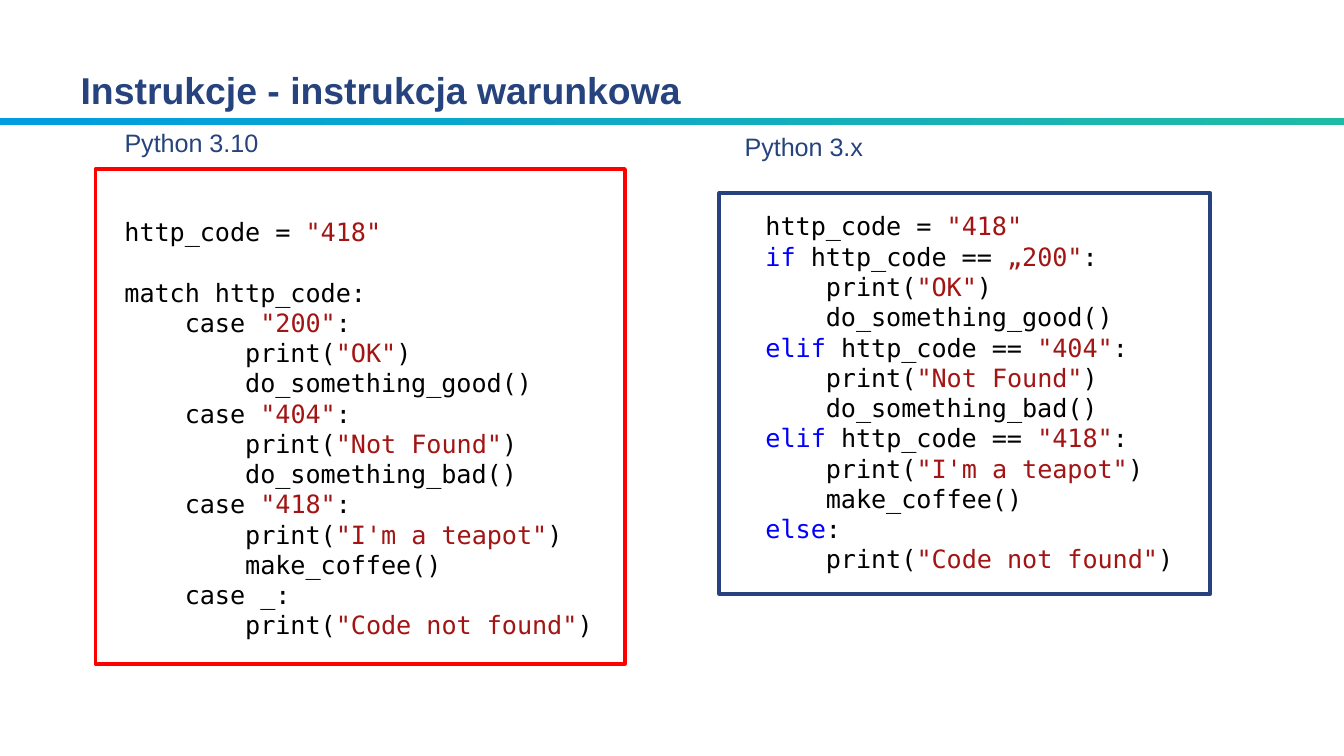
from pptx import Presentation
from pptx.dml.color import RGBColor
from pptx.enum.shapes import MSO_SHAPE
from pptx.enum.text import MSO_ANCHOR, PP_ALIGN
from pptx.util import Pt

COLORS = {
    "navy": "26437E",
    "red": "FF0000",
    "blue": "009DE0",
    "teal": "20BBA5",
    "plain": "000000",
    "string": "A31515",
    "keyword": "0000FF",
}
SANS = "Arial"
MONO = "DejaVu Sans Mono"
PITCH = Pt(16.2)

MATCH = '''http_code = "418"

match http_code:
    case "200":
        print("OK")
        do_something_good()
    case "404":
        print("Not Found")
        do_something_bad()
    case "418":
        print("I'm a teapot")
        make_coffee()
    case _:
        print("Code not found")'''

BRANCH = '''http_code = "418"
if http_code == „200":
    print("OK")
    do_something_good()
elif http_code == "404":
    print("Not Found")
    do_something_bad()
elif http_code == "418":
    print("I'm a teapot")
    make_coffee()
else:
    print("Code not found")'''


def color(name):
    return RGBColor.from_string(COLORS[name])


def style(font, face, size, tone):
    font.name = face
    font.size = Pt(size)
    font.color.rgb = color(tone)


def add_title(slide, text):
    title = slide.shapes.title
    title.left, title.top, title.width, title.height = Pt(36), Pt(9.4), Pt(648), Pt(54)
    frame = title.text_frame
    frame.text = text
    frame.vertical_anchor = MSO_ANCHOR.BOTTOM
    para = frame.paragraphs[0]
    para.alignment = PP_ALIGN.LEFT
    style(para.font, SANS, 20, "navy")
    para.font.bold = True


def add_rect(slide, left, top, width, height):
    rect = slide.shapes.add_shape(
        MSO_SHAPE.RECTANGLE, Pt(left), Pt(top), Pt(width), Pt(height))
    rect.shadow.inherit = False
    return rect


def add_band(slide):
    band = add_rect(slide, 0, 63.4, 720, 3.6)
    band.line.fill.background()
    band.fill.gradient()
    band.fill.gradient_angle = 0
    for stop, tone, place in zip(band.fill.gradient_stops, ("blue", "teal"), (0, 1)):
        stop.color.rgb = color(tone)
        stop.position = place


def add_frame(slide, left, top, width, height, tone):
    rect = add_rect(slide, left, top, width, height)
    rect.fill.background()
    rect.line.color.rgb = color(tone)
    rect.line.width = Pt(2)


def add_text(slide, left, top, width, height, wrap):
    box = slide.shapes.add_textbox(Pt(left), Pt(top), Pt(width), Pt(height))
    box.text_frame.word_wrap = wrap
    return box.text_frame


def add_label(slide, left, top, width, text):
    para = add_text(slide, left, top, width, 23.6, False).paragraphs[0]
    para.text = text
    style(para.font, SANS, 13.5, "navy")


def split_line(line):
    word = next((w for w in ("if ", "elif ", "else") if line.startswith(w)), "")
    rest = line[len(word):]
    start = next((i for i, char in enumerate(rest) if char in '"„'), len(rest))
    end = max(rest.rfind('"') + 1, start)
    parts = [(word, "keyword"), (rest[:start], "plain"),
             (rest[start:end], "string"), (rest[end:], "plain")]
    return [part for part in parts if part[0]]


def add_code(slide, left, top, width, height, code):
    frame = add_text(slide, left, top, width, height, True)
    para, gap = frame.paragraphs[0], False
    for row, line in enumerate(code.splitlines()):
        if not line:
            gap = True
            continue
        if row:
            para = frame.add_paragraph()
        para.line_spacing = PITCH
        if gap:
            para.space_before = PITCH
            gap = False
        style(para.font, MONO, 13.5, "plain")
        for text, tone in split_line(line):
            run = para.add_run()
            run.text = text
            style(run.font, MONO, 13.5, tone)


def main():
    deck = Presentation()
    deck.slide_width, deck.slide_height = Pt(720), Pt(405)
    slide = deck.slides.add_slide(deck.slide_layouts[5])
    add_band(slide)
    add_title(slide, "Instrukcje - instrukcja warunkowa")
    add_code(slide, 59.6, 112.3, 306.7, 236.2, MATCH)
    add_code(slide, 403, 109.4, 245.5, 203.8, BRANCH)
    add_frame(slide, 385.4, 103.4, 263, 214.8, "navy")
    add_frame(slide, 51.2, 90.6, 283.6, 265, "red")
    add_label(slide, 59.6, 64.8, 87, "Python 3.10")
    add_label(slide, 391.8, 67, 79.2, "Python 3.x")
    deck.save("out.pptx")


if __name__ == "__main__":
    main()
